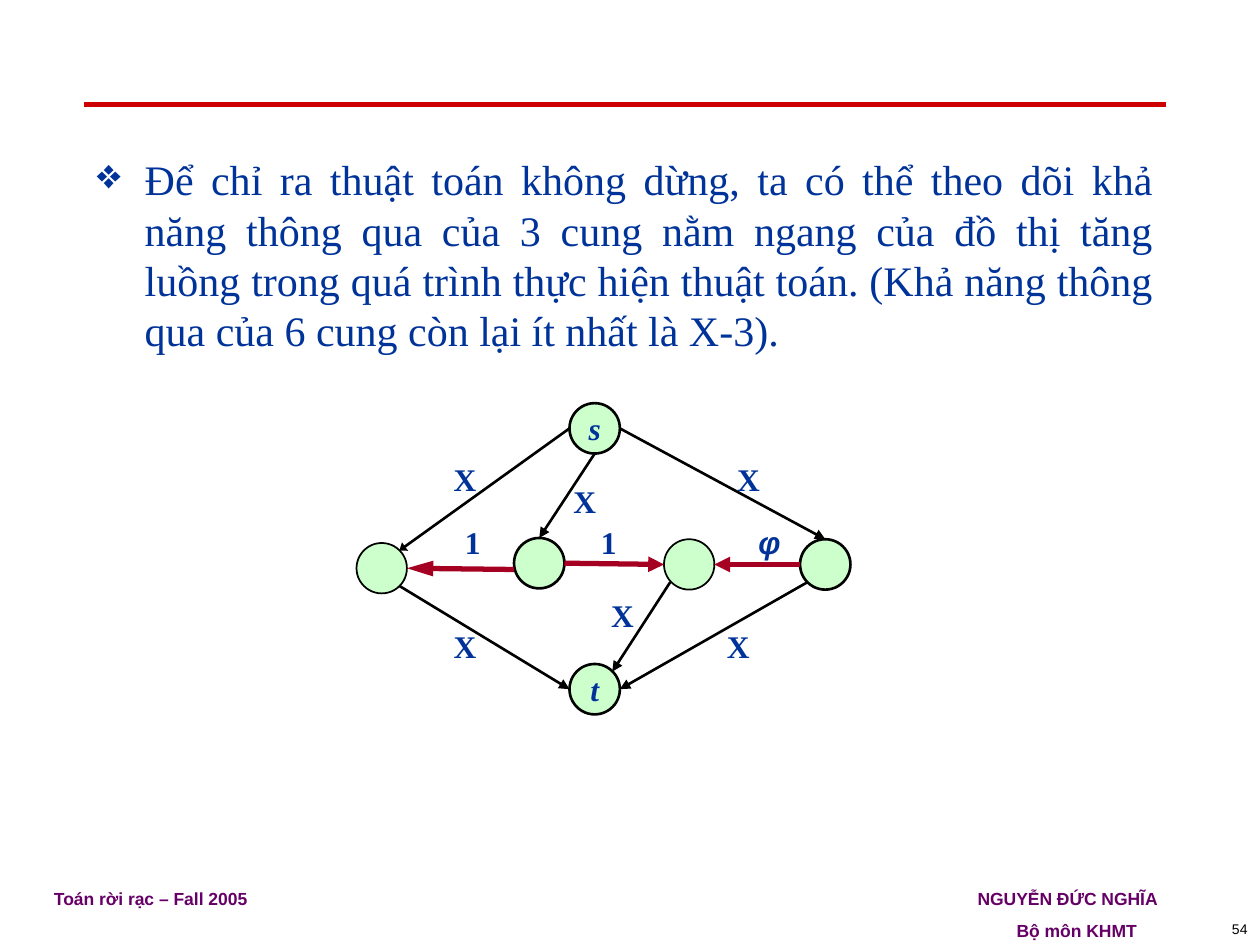
"""Slide on a flow network whose augmenting algorithm never stops."""
from lxml import etree
from pptx import Presentation
from pptx import util as u
from pptx.dml.color import RGBColor
from pptx.enum import shapes, text
from pptx.oxml.ns import qn

HUES = {"navy": "003399", "plum": "660066", "red": "CC0000", "wine": "A50021",
        "mint": "CCFFCC", "black": "000000"}
SERIF, SANS = "Times New Roman", "Arial"
INK = {name: RGBColor.from_string(code) for name, code in HUES.items()}

deck = Presentation()
deck.slide_width, deck.slide_height = u.Inches(10), u.Inches(7.5)
slide = deck.slides.add_slide(deck.slide_layouts[6])
tree = slide.shapes


def style(para, size, face, hue, bold=False, slant=False):
    for run in para.runs:
        font = run.font
        font.size, font.name, font.bold, font.italic = u.Pt(size), face, bold, slant
        font.color.rgb = INK[hue]


def line(start, end, hue, width, tip=None):
    link = tree.add_connector(shapes.MSO_CONNECTOR.STRAIGHT,
                              *[u.Inches(v) for v in start + end])
    link.line.color.rgb = INK[hue]
    link.line.width = u.Pt(width)
    if tip:
        etree.SubElement(link.line._get_or_add_ln(), qn("a:tailEnd"),
                         type="triangle", w="med", len=tip)
    etree.SubElement(link._element.spPr, qn("a:effectLst"))


line((0.67, 0.83), (9.25, 0.83), "red", 3)

foot = tree.add_textbox(u.Inches(0.33), u.Inches(7), u.Inches(9.08), u.Inches(0.52))
frame = foot.text_frame
frame.word_wrap = True
frame.text = "Toán rời rạc – Fall 2005\tNGUYỄN ĐỨC NGHĨA\n\tBộ môn KHMT"
for para, stop in zip(frame.paragraphs, (7.33, 7.64)):
    tabs = etree.SubElement(para._p.get_or_add_pPr(), qn("a:tabLst"))
    etree.SubElement(tabs, qn("a:tab"), pos=str(u.Inches(stop)), algn="l")
    style(para, 10, SANS, "plum", True)
frame.paragraphs[1].space_before = u.Pt(6.2)

body = tree.add_textbox(u.Inches(0.67), u.Inches(1.17), u.Inches(8.58), u.Inches(5.75))
frame = body.text_frame
frame.word_wrap = True
frame.text = ("Để chỉ ra thuật toán không dừng, ta có thể theo dõi khả năng thông qua "
              "của 3 cung nằm ngang của đồ thị tăng luồng trong quá trình thực hiện "
              "thuật toán. (Khả năng thông qua của 6 cung còn lại ít nhất là X-3).")
para = frame.paragraphs[0]
para.alignment = text.PP_ALIGN.JUSTIFY
props = para._p.get_or_add_pPr()
props.set("marL", str(u.Inches(0.38)))
props.set("indent", str(u.Inches(-0.38)))
tint = etree.SubElement(props, qn("a:buClr"))
etree.SubElement(tint, qn("a:srgbClr"), val=HUES["navy"])
etree.SubElement(props, qn("a:buChar"), char="❖")
style(para, 24, SERIF, "navy")

page = tree.add_textbox(u.Inches(7.92), u.Inches(7.25), u.Inches(2.08), u.Inches(0.25))
frame = page.text_frame
frame.text = "54"
frame.word_wrap = False
frame.vertical_anchor = text.MSO_ANCHOR.MIDDLE
frame.paragraphs[0].alignment = text.PP_ALIGN.RIGHT
style(frame.paragraphs[0], 8, SANS, "black")

nodes = [(4.08, 4.27, 1.5, ""), (2.83, 4.31, 1, ""), (4.52, 3.2, 1.5, "s"),
         (4.52, 5.27, 1.5, "t"), (5.27, 4.28, 1, ""), (6.35, 4.28, 1.5, "")]
for left, top, width, name in nodes:
    node = tree.add_shape(shapes.MSO_SHAPE.OVAL, u.Inches(left), u.Inches(top),
                          u.Inches(0.4), u.Inches(0.4))
    node.shadow.inherit = False
    node.fill.solid()
    node.fill.fore_color.rgb = INK["mint"]
    node.line.color.rgb = INK["black"]
    node.line.width = u.Pt(width)
    if name:
        frame = node.text_frame
        frame.text = name
        frame.word_wrap = False
        frame.vertical_anchor = text.MSO_ANCHOR.MIDDLE
        frame.paragraphs[0].alignment = text.PP_ALIGN.CENTER
        style(frame.paragraphs[0], 18, SERIF, "navy", True, True)

edges = [((4.52, 3.4), (3.17, 4.37), "sm"), ((3.17, 4.65), (4.52, 5.47), "med"),
         ((4.72, 3.6), (4.28, 4.27), "med"), ((4.92, 3.4), (6.55, 4.28), "med"),
         ((5.32, 4.62), (4.86, 5.33), "med"), ((6.41, 4.62), (4.92, 5.47), "med")]
for start, end, tip in edges:
    line(start, end, "black", 1.5, tip)

flats = [((4.48, 4.47), (5.27, 4.48), "med"), ((6.35, 4.48), (5.67, 4.48), "med"),
         ((4.08, 4.52), (3.23, 4.51), "lg")]
for start, end, tip in flats:
    line(start, end, "wine", 3, tip)

labels = [("X", 3.5, 3.6, 0.38), ("X", 4.45, 3.78, 0.38), ("X", 5.75, 3.6, 0.38),
          ("1", 3.59, 4.1, 0.32), ("1", 4.67, 4.1, 0.32), ("φ", 5.92, 4.1, 0.33),
          ("X", 3.5, 4.93, 0.38), ("X", 4.75, 4.68, 0.38), ("X", 5.67, 4.93, 0.38)]
for name, left, top, width in labels:
    label = tree.add_textbox(u.Inches(left), u.Inches(top), u.Inches(width), u.Inches(0.4))
    frame = label.text_frame
    frame.text = name
    frame.word_wrap = False
    frame.paragraphs[0].alignment = text.PP_ALIGN.CENTER
    greek = name == "φ"
    style(frame.paragraphs[0], 18, SANS if greek else SERIF, "navy", True, greek)

deck.save("out.pptx")
